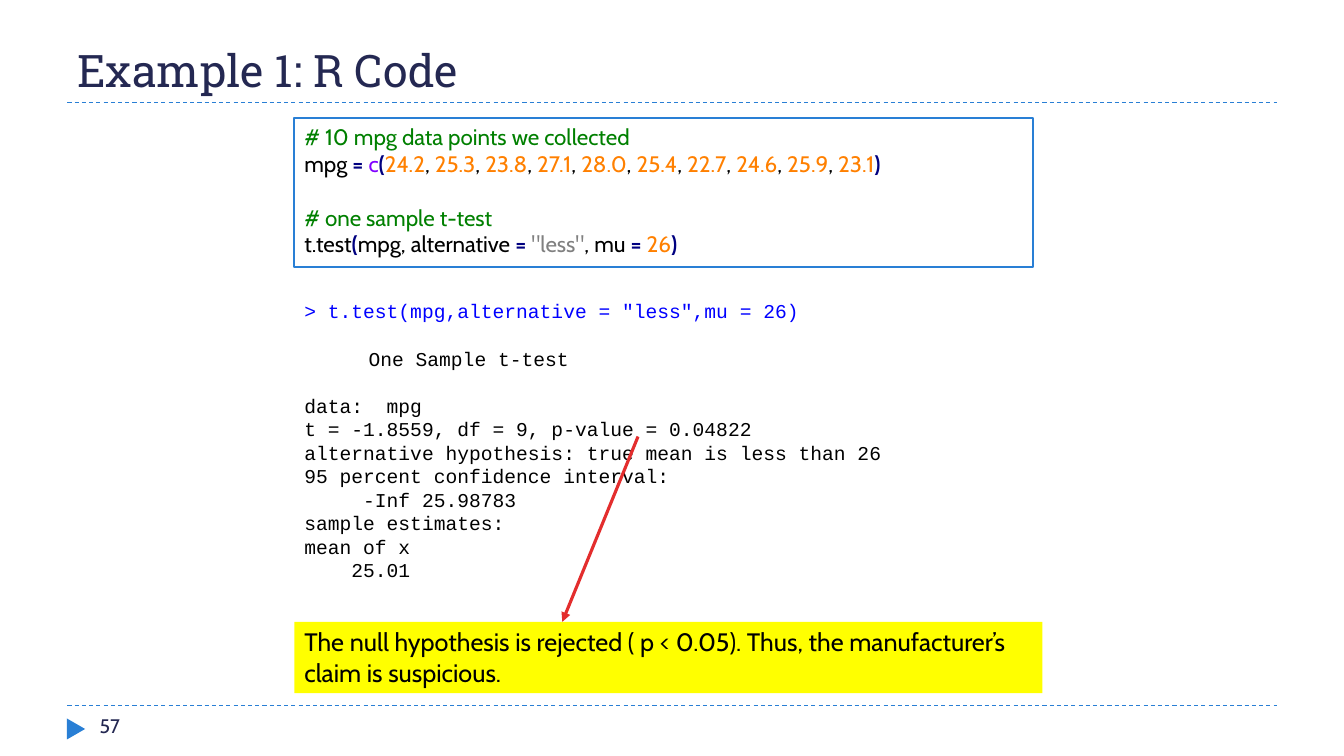
"""Build the slide with the R code and output of a one sample t-test."""
from pptx import Presentation
from pptx.dml.color import RGBColor
from pptx.enum.dml import MSO_LINE
from pptx.enum.shapes import MSO_CONNECTOR, MSO_SHAPE
from pptx.enum.text import MSO_ANCHOR, PP_ALIGN
from pptx.oxml.ns import qn
from pptx.util import Cm, Pt
from lxml.etree import SubElement

COLORS = {
    "accent": "297FD5", "heading": "242852", "white": "FFFFFF",
    "yellow": "FFFF00", "red": "E32D2D", "text": "000000",
    "comment": "008000", "operator": "000080", "function": "8000FF",
    "number": "FF8000", "string": "808080", "prompt": "0000FF",
}
RGB = {name: RGBColor.from_string(value) for name, value in COLORS.items()}


def add_line(x1, y1, x2, y2, color, width):
    """Add a straight line without a shadow."""
    line = s.shapes.add_connector(MSO_CONNECTOR.STRAIGHT, Cm(x1), Cm(y1), Cm(x2), Cm(y2))
    line.line.color.rgb = RGB[color]
    line.line.width = Pt(width)
    SubElement(line._element.spPr, qn("a:effectLst"))
    return line


def write(sp, lines, font, size, anchor=MSO_ANCHOR.TOP):
    """Write lines, each a gap in points and a list of (text, color) runs."""
    tf = sp.text_frame
    tf.word_wrap = True
    tf.vertical_anchor = anchor
    for i, (gap, runs) in enumerate(lines):
        p = tf.paragraphs[0] if i == 0 else tf.add_paragraph()
        p.alignment = PP_ALIGN.LEFT
        if gap:
            p.space_before = Pt(gap)
        for text, color in runs:
            r = p.add_run()
            r.text = text
            r.font.name = font
            r.font.size = Pt(size)
            r.font.bold = color == "operator"
            r.font.color.rgb = RGB[color]
    return tf


prs = Presentation()
prs.slide_width, prs.slide_height = Cm(33.87), Cm(19.05)
s = prs.slides.add_slide(prs.slide_layouts[6])

for y in (17.78, 2.59):
    rule = add_line(1.7, y, 32.18, y, "accent", 0.75)
    rule.line.dash_style = MSO_LINE.DASH

marker = s.shapes.add_shape(MSO_SHAPE.ISOSCELES_TRIANGLE, Cm(1.65), Cm(18.14), Cm(0.53), Cm(0.46))
marker.rotation = 90
marker.shadow.inherit = False
marker.fill.solid()
marker.fill.fore_color.rgb = RGB["accent"]
marker.line.fill.background()

title = s.shapes.add_textbox(Cm(1.7), Cm(0.43), Cm(30.48), Cm(2.13))
write(title, [(0, [("Example 1: R Code", "heading")])], "Roboto Slab", 32, MSO_ANCHOR.BOTTOM)

number = s.shapes.add_textbox(Cm(2.26), Cm(17.86), Cm(7.34), Cm(0.81))
write(number, [(0, [("57", "heading")])], "Cabin", 14)

mpg = ["24.2", "25.3", "23.8", "27.1", "28.0", "25.4", "22.7", "24.6", "25.9", "23.1"]
data_runs = [("mpg ", "text"), ("=", "operator"), (" ", "text"), ("c", "function"), ("(", "operator")]
for i, value in enumerate(mpg):
    if i:
        data_runs.append((", ", "text"))
    data_runs.append((value, "number"))
data_runs.append((")", "operator"))
test_runs = [
    ("t.test", "text"), ("(", "operator"), ("mpg, alternative ", "text"),
    ("=", "operator"), (" ", "text"), ('"less"', "string"), (", mu ", "text"),
    ("=", "operator"), (" ", "text"), ("26", "number"), (")", "operator"),
]
code_lines = [
    (0, [("# 10 mpg data points we collected", "comment")]),
    (0, data_runs),
    (19.4, [("# one sample t-test", "comment")]),
    (0, test_runs),
]
code = s.shapes.add_shape(MSO_SHAPE.RECTANGLE, Cm(7.42), Cm(2.97), Cm(18.62), Cm(3.76))
code.shadow.inherit = False
code.fill.solid()
code.fill.fore_color.rgb = RGB["white"]
code.line.color.rgb = RGB["accent"]
code.line.width = Pt(1.5)
write(code, code_lines, "Cabin", 16)

LINE_HEIGHT = 16.8
output_lines = [
    (0, '> t.test(mpg,alternative = "less",mu = 26)', "prompt"),
    (LINE_HEIGHT, "\tOne Sample t-test", "text"),
    (LINE_HEIGHT, "data:  mpg", "text"),
    (0, "t = -1.8559, df = 9, p-value = 0.04822", "text"),
    (0, "alternative hypothesis: true mean is less than 26", "text"),
    (0, "95 percent confidence interval:", "text"),
    (0, "     -Inf 25.98783", "text"),
    (0, "sample estimates:", "text"),
    (0, "mean of x", "text"),
    (0, "    25.01", "text"),
]
output = s.shapes.add_textbox(Cm(7.42), Cm(7.42), Cm(18.62), Cm(7.62))
tf = write(output, [(gap, [(text, color)]) for gap, text, color in output_lines], "Courier New", 14)
for p in tf.paragraphs:
    p.line_spacing = Pt(LINE_HEIGHT)
    if p.text.startswith("\t"):
        tabs = SubElement(p._p.get_or_add_pPr(), qn("a:tabLst"))
        SubElement(tabs, qn("a:tab"), pos=str(Cm(1.62)), algn="l")

conclusion = s.shapes.add_shape(MSO_SHAPE.RECTANGLE, Cm(7.42), Cm(15.67), Cm(18.85), Cm(1.8))
conclusion.shadow.inherit = False
conclusion.fill.solid()
conclusion.fill.fore_color.rgb = RGB["yellow"]
conclusion.line.fill.background()
conclusion_text = "The null hypothesis is rejected ( p < 0.05). Thus, the manufacturer’s claim is suspicious."
write(conclusion, [(0, [(conclusion_text, "text")])], "Cabin", 18)

arrow = add_line(16.08, 11, 14.17, 15.67, "red", 2.25)
SubElement(arrow.line._get_or_add_ln(), qn("a:tailEnd"), type="triangle")

prs.save("out.pptx")
